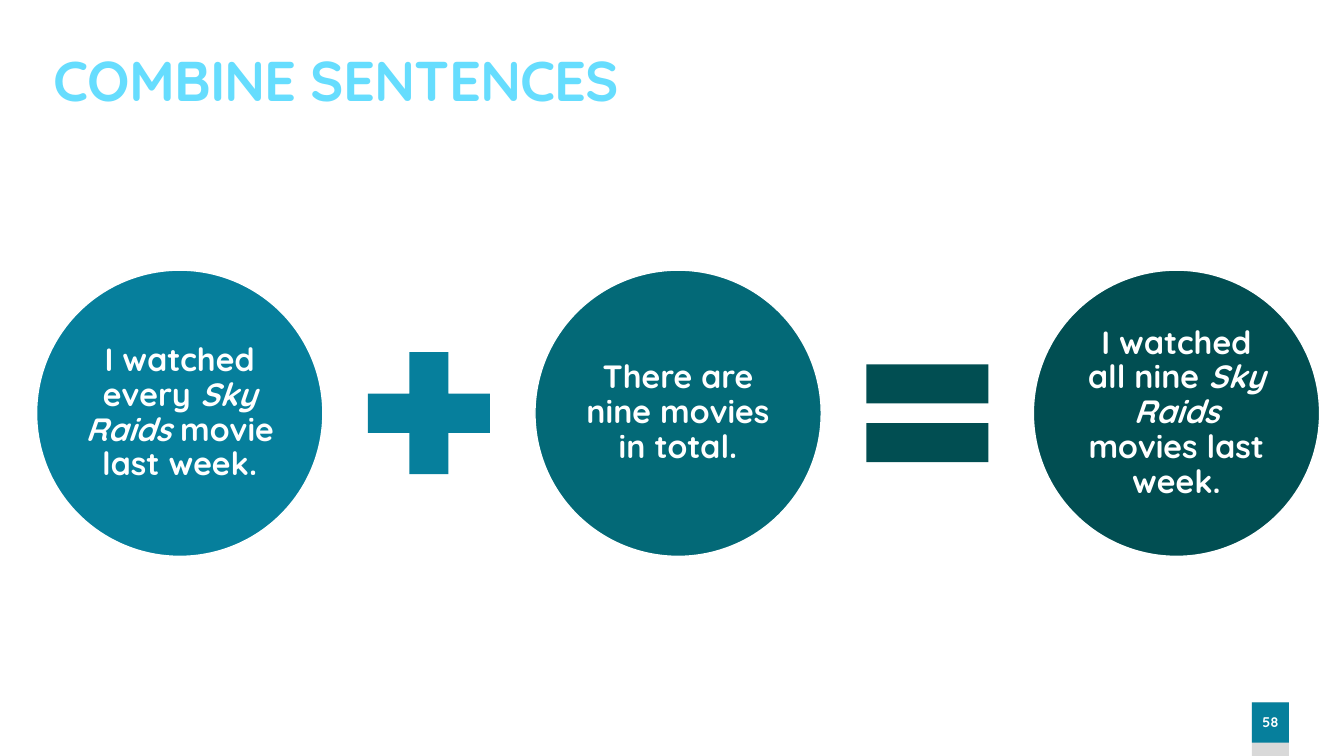
from dataclasses import dataclass

from pptx import Presentation
from pptx.dml.color import RGBColor
from pptx.enum.shapes import MSO_SHAPE as Preset
from pptx.enum.text import MSO_ANCHOR as Anchor, MSO_AUTO_SIZE as AutoSize, PP_ALIGN as Align
from pptx.shapes.autoshape import Shape
from pptx.slide import Slide
from pptx.text.text import _Paragraph as Paragraph
from pptx.util import Pt

FONT = "Quicksand"
WHITE = RGBColor(0xFF, 0xFF, 0xFF)
SKY = RGBColor(0x66, 0xDD, 0xFE)
BLUE = RGBColor(0x06, 0x7F, 0x9C)
TEAL = RGBColor(0x03, 0x69, 0x77)
DARK_TEAL = RGBColor(0x01, 0x4E, 0x52)
GREY = RGBColor(0xD9, 0xD9, 0xD9)

FIRST_CENTER = 128.4
CENTER_STEP = 178
CENTER_Y = 295.2
CIRCLE_SIZE = 204.5
OPERATOR_SIZE = 118.6


@dataclass(frozen=True)
class Term:
    """One circle or operator; every second phrase is italic."""
    preset: Preset
    size: float
    color: RGBColor
    phrases: tuple[str, ...] = ()


EQUATION = (
    Term(Preset.OVAL, CIRCLE_SIZE, BLUE,
         ("I watched every ", "Sky Raids", " movie last week.")),
    Term(Preset.MATH_PLUS, OPERATOR_SIZE, BLUE),
    Term(Preset.OVAL, CIRCLE_SIZE, TEAL, ("There are nine movies in total.",)),
    Term(Preset.MATH_EQUAL, OPERATOR_SIZE, DARK_TEAL),
    Term(Preset.OVAL, CIRCLE_SIZE, DARK_TEAL,
         ("I watched all nine ", "Sky Raids", " movies last week.")),
)


def add_filled_shape(slide: Slide, preset: Preset, left: float, top: float,
                     width: float, height: float, color: RGBColor) -> Shape:
    shape = slide.shapes.add_shape(preset, Pt(left), Pt(top), Pt(width), Pt(height))
    shape.shadow.inherit = False
    shape.fill.solid()
    shape.fill.fore_color.rgb = color
    shape.line.fill.background()
    return shape


def format_paragraph(paragraph: Paragraph, size: float, color: RGBColor, align: Align) -> None:
    paragraph.alignment = align
    paragraph.line_spacing = 0.9
    paragraph.space_before = Pt(0)
    font = paragraph.font
    font.name = FONT
    font.size = Pt(size)
    font.bold = True
    font.color.rgb = color


def write_centered(shape: Shape, phrases: tuple[str, ...], size: float,
                   inset_x: float, inset_y: float) -> None:
    frame = shape.text_frame
    frame.word_wrap = True
    frame.vertical_anchor = Anchor.MIDDLE
    frame.margin_left = frame.margin_right = Pt(inset_x)
    frame.margin_top = frame.margin_bottom = Pt(inset_y)
    paragraph = frame.paragraphs[0]
    for index, phrase in enumerate(phrases):
        run = paragraph.add_run()
        run.text = phrase
        if index % 2:
            run.font.italic = True
    format_paragraph(paragraph, size, WHITE, Align.CENTER)


def add_title(slide: Slide, text: str) -> None:
    title = slide.shapes.title
    title.left, title.top, title.width, title.height = Pt(31), Pt(34.6), Pt(846), Pt(46.8)
    frame = title.text_frame
    frame.text = text
    frame.auto_size = AutoSize.NONE
    frame.vertical_anchor = Anchor.TOP
    paragraph = frame.paragraphs[0]
    format_paragraph(paragraph, 40, SKY, Align.LEFT)
    paragraph.runs[0]._r.get_or_add_rPr().set("spc", "-60")


def add_page_number(slide: Slide, number: str) -> None:
    left, top, width = 894.2, 501.8, 26.6
    add_filled_shape(slide, Preset.RECTANGLE, left, top, width, 38.2, GREY)
    tab = add_filled_shape(slide, Preset.RECTANGLE, left, top, width, 28.8, BLUE)
    write_centered(tab, (number,), 10, 0, 3.6)


def add_term(slide: Slide, term: Term, center_x: float) -> None:
    shape = add_filled_shape(slide, term.preset, center_x - term.size / 2,
                             CENTER_Y - term.size / 2, term.size, term.size, term.color)
    if term.phrases:
        shape.line.color.rgb = WHITE
        shape.line.width = Pt(1)
        write_centered(shape, term.phrases, 23, 2.3, 2.3)


def main() -> None:
    presentation = Presentation()
    presentation.slide_width, presentation.slide_height = Pt(960), Pt(540)
    slide = presentation.slides.add_slide(presentation.slide_layouts.get_by_name("Title Only"))
    add_title(slide, "COMBINE SENTENCES")
    add_page_number(slide, "58")
    for index, term in enumerate(EQUATION):
        add_term(slide, term, FIRST_CENTER + index * CENTER_STEP)
    presentation.save("out.pptx")


if __name__ == "__main__":
    main()
